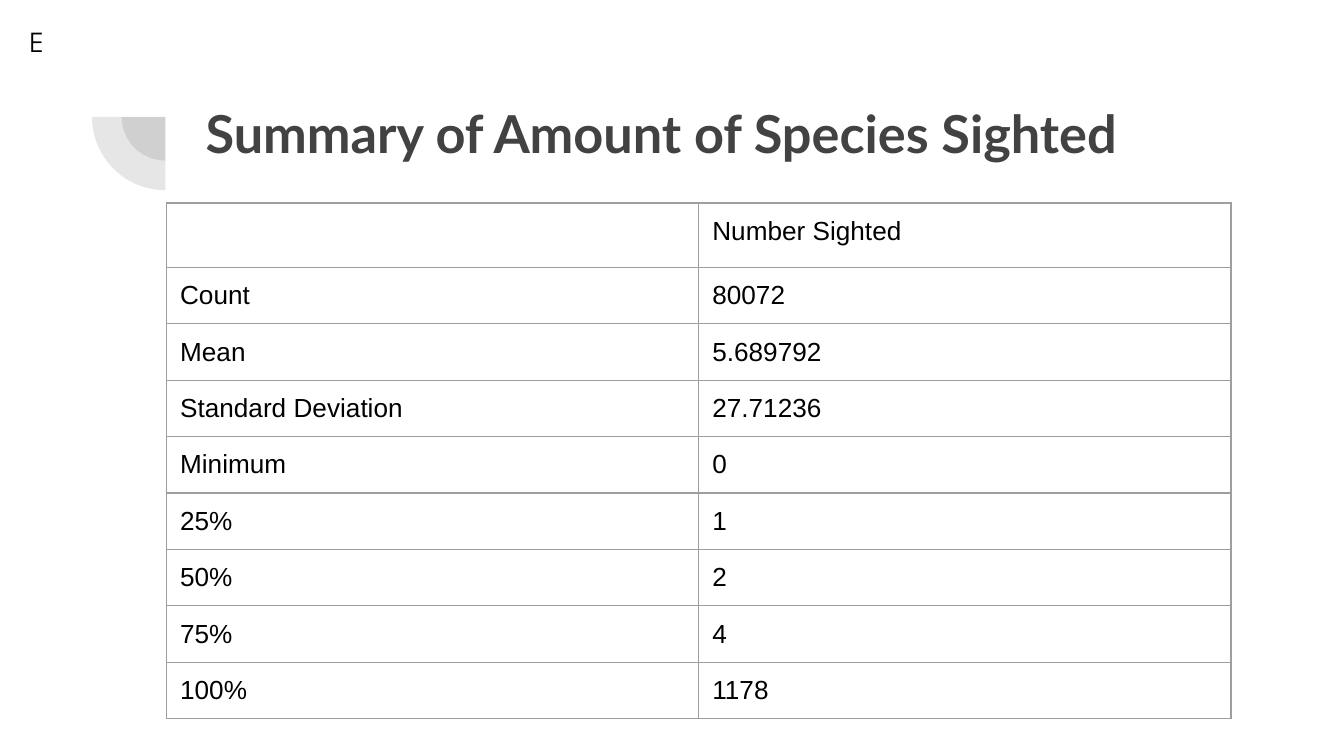
from lxml import etree
from pptx import Presentation
from pptx.dml.color import RGBColor
from pptx.enum.shapes import MSO_SHAPE
from pptx.enum.text import MSO_ANCHOR, MSO_AUTO_SIZE, PP_ALIGN
from pptx.oxml.ns import qn
from pptx.util import Inches, Pt

PIE = MSO_SHAPE.PIE
LEFT, TOP = PP_ALIGN.LEFT, MSO_ANCHOR.TOP
NO_AUTOFIT = MSO_AUTO_SIZE.NONE
TITLE_ONLY = 5
COLORS = {"background": "FFFFFF", "title": "424242", "arc": "424242",
          "text": "000000", "border": "9E9E9E"}
INSET = Inches(0.1)
SUMMARY = [
    ("", "Number Sighted"),
    ("Count", "80072"),
    ("Mean", "5.689792"),
    ("Standard Deviation", "27.71236"),
    ("Minimum", "0"),
    ("25%", "1"),
    ("50%", "2"),
    ("75%", "4"),
    ("100%", "1178"),
]


def rgb(name):
    return RGBColor.from_string(COLORS[name])


def write(frame, text, size=14, font="Arial", color="text", bold=False):
    paragraph = frame.paragraphs[0]
    paragraph.alignment = LEFT
    run = paragraph.add_run()
    run.text = text
    run.font.size = Pt(size)
    run.font.name = font
    run.font.bold = bold
    run.font.color.rgb = rgb(color)


def format_empty(frame, size=18, font="Arial"):
    """Set the font that gives an empty paragraph its height."""
    end = etree.SubElement(frame.paragraphs[0]._p, qn("a:endParaRPr"),
                           sz=str(size * 100))
    etree.SubElement(end, qn("a:latin"), typeface=font)


def set_insets(target):
    """Give a text frame or table cell equal margins and top anchoring."""
    target.margin_left = target.margin_right = INSET
    target.margin_top = target.margin_bottom = INSET
    target.vertical_anchor = TOP


def add_arcs(slide, center_x, center_y, diameters):
    """Overlay translucent lower-left quarter discs on one centre."""
    for diameter in diameters:
        arc = slide.shapes.add_shape(
            PIE, Inches(center_x - diameter / 2), Inches(center_y - diameter / 2),
            Inches(diameter), Inches(diameter))
        arc.adjustments[0], arc.adjustments[1] = 108, 162
        arc.rotation = 270
        arc.shadow.inherit = False
        arc.line.fill.background()
        arc.fill.solid()
        arc.fill.fore_color.rgb = rgb("arc")
        color = arc.fill._xPr.find(qn("a:solidFill"))[0]
        etree.SubElement(color, qn("a:alpha"), val="13000")


def place_title(slide, text, left, top, width, height):
    title = slide.shapes.title
    title.left, title.top = Inches(left), Inches(top)
    title.width, title.height = Inches(width), Inches(height)
    frame = title.text_frame
    frame.word_wrap = True
    frame.auto_size = NO_AUTOFIT
    set_insets(frame)
    write(frame, text, size=28, font="Lato", color="title", bold=True)


def add_borders(cell):
    properties = cell._tc.get_or_add_tcPr()
    for position, side in enumerate(("lnL", "lnR", "lnT", "lnB")):
        line = etree.Element(qn(f"a:{side}"), w=str(Pt(0.75)))
        fill = etree.SubElement(line, qn("a:solidFill"))
        etree.SubElement(fill, qn("a:srgbClr"), val=COLORS["border"])
        properties.insert(position, line)


def add_summary_table(slide, rows, left, top, width, row_height):
    table = slide.shapes.add_table(
        len(rows), len(rows[0]), Inches(left), Inches(top),
        Inches(width), Inches(row_height * len(rows))).table
    table.first_row = table.horz_banding = False
    for row, values in enumerate(rows):
        for column, value in enumerate(values):
            cell = table.cell(row, column)
            set_insets(cell)
            cell.fill.background()
            add_borders(cell)
            if value:
                write(cell.text_frame, value)
            else:
                format_empty(cell.text_frame)


def add_label(slide, text, left, top, width, height):
    frame = slide.shapes.add_textbox(
        Inches(left), Inches(top), Inches(width), Inches(height)).text_frame
    frame.word_wrap = True
    set_insets(frame)
    write(frame, text, font="TeX Gyre Adventor")


def main():
    presentation = Presentation()
    presentation.slide_width = Inches(10)
    presentation.slide_height = presentation.slide_width * 9 // 16
    slide = presentation.slides.add_slide(presentation.slide_layouts[TITLE_ONLY])
    slide.background.fill.solid()
    slide.background.fill.fore_color.rgb = rgb("background")
    add_arcs(slide, 1.23, 0.87, (0.65, 1.09))
    place_title(slide, "Summary of Amount of Species Sighted", 1.43, 0.65, 7.69, 1.09)
    add_summary_table(slide, SUMMARY, 1.24, 1.51, 7.92, 0.42)
    add_label(slide, "E", 0.12, 0.1, 0.41, 0.44)
    presentation.save("out.pptx")


if __name__ == "__main__":
    main()
